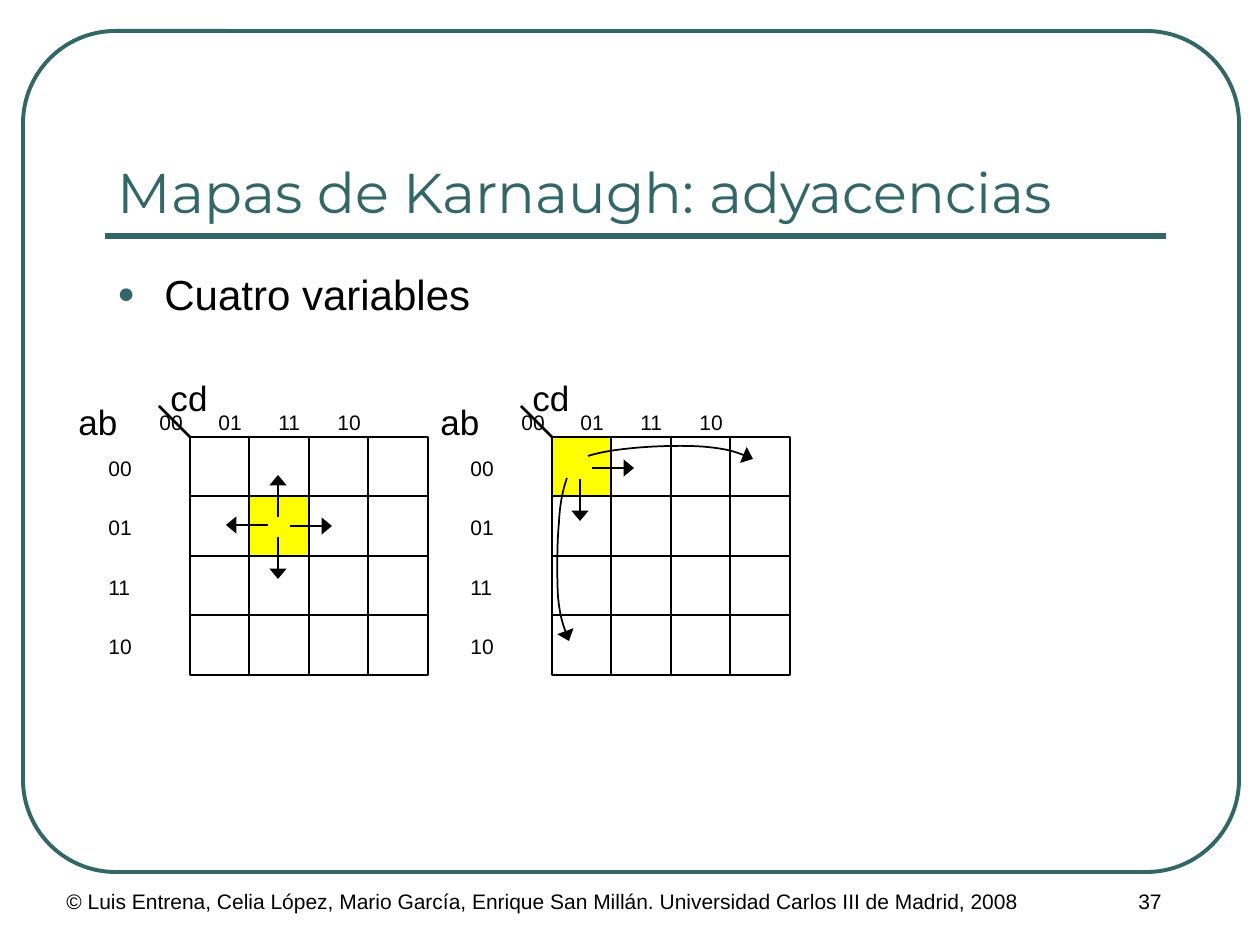
import dataclasses

import pptx
import pptx.dml.color
import pptx.enum.shapes
import pptx.enum.text
import pptx.oxml
import pptx.oxml.ns
import pptx.util

qn = pptx.oxml.ns.qn
ALIGN = pptx.enum.text.PP_ALIGN
ANCHOR = pptx.enum.text.MSO_ANCHOR
SHAPE = pptx.enum.shapes.MSO_SHAPE
PX = 914400 / 126  # EMU per px


def px(length):
    return pptx.util.Emu(round(length * PX))


def rgb(code):
    return pptx.dml.color.RGBColor.from_string(code)


def xml(tag, content="", **attributes):
    values = "".join(f' {key}="{value}"' for key, value in attributes.items())
    return pptx.oxml.parse_xml(
        f'<a:{tag} {pptx.oxml.ns.nsdecls("a")}{values}>{content}</a:{tag}>')


@dataclasses.dataclass(frozen=True)
class Theme:
    accent: str = "336666"
    ink: str = "000000"
    highlight: str = "FFFF00"
    title_font: str = "Montserrat"
    body_font: str = "Arial"
    title_size: int = 32
    body_size: int = 24
    variable_size: int = 20
    small_size: int = 12
    frame_line: float = 2.25
    rule_line: float = 3
    grid_line: float = 1.5
    arrow_line: float = 1


def write(frame, text, *, size, color, font, align=ALIGN.LEFT,
          anchor=ANCHOR.TOP, bullet_color=None):
    """Put one formatted paragraph into a text frame."""
    frame.word_wrap = True
    frame.auto_size = pptx.enum.text.MSO_AUTO_SIZE.NONE
    frame.vertical_anchor = anchor
    frame.margin_left = frame.margin_right = pptx.util.Inches(0.1)
    frame.margin_top = frame.margin_bottom = pptx.util.Inches(0.05)
    paragraph = frame.paragraphs[0]
    paragraph.alignment = align
    paragraph.space_before = pptx.util.Pt(0)
    if bullet_color:
        properties = paragraph._p.get_or_add_pPr()
        properties.set("marL", str(px(47)))
        properties.set("indent", str(px(-47)))
        properties.append(xml("buClr", f'<a:srgbClr val="{bullet_color}"/>'))
        properties.append(xml("buSzPct", val=70000))
        properties.append(xml("buFont", typeface=font))
        properties.append(xml("buChar", char="●"))
    run = paragraph.add_run()
    run.text = text
    run.font.size = pptx.util.Pt(size)
    run.font.name = font
    run.font.color.rgb = rgb(color)


class SlideBuilder:
    def __init__(self, slide, theme):
        self.slide = slide
        self.theme = theme

    def title(self, text, left, top, width, height):
        heading = self.slide.shapes.title
        heading.left, heading.top = px(left), px(top)
        heading.width, heading.height = px(width), px(height)
        write(heading.text_frame, text, size=self.theme.title_size,
              color=self.theme.accent, font=self.theme.title_font,
              anchor=ANCHOR.BOTTOM)

    def text(self, text, left, top, width, height, size, **style):
        label = self.slide.shapes.add_textbox(
            px(left), px(top), px(width), px(height))
        write(label.text_frame, text, size=size, color=self.theme.ink,
              font=self.theme.body_font, **style)

    def box(self, kind, left, top, width, height, color, weight, fill=None):
        box = self.slide.shapes.add_shape(
            kind, px(left), px(top), px(width), px(height))
        box.shadow.inherit = False
        if fill:
            box.fill.solid()
            box.fill.fore_color.rgb = rgb(fill)
        else:
            box.fill.background()
        self.stroke(box, color, weight)
        return box

    def stroke(self, shape, color, weight, arrow=False):
        shape.line.color.rgb = rgb(color)
        shape.line.width = pptx.util.Pt(weight)
        if arrow:
            outline = shape.element.spPr.find(qn("a:ln"))
            outline.append(xml("tailEnd", type="triangle", w="lg", len="med"))

    def line(self, start, end, color, weight, arrow=False):
        line = self.slide.shapes.add_connector(
            pptx.enum.shapes.MSO_CONNECTOR.STRAIGHT,
            *map(px, start), *map(px, end))
        self.stroke(line, color, weight, arrow)
        line.element.spPr.append(xml("effectLst"))

    def arrow(self, start, end):
        self.line(start, end, self.theme.ink, self.theme.arrow_line, arrow=True)

    def curved_arrow(self, start, *controls):
        """Draw cubic curves: every three control points make one segment."""
        builder = self.slide.shapes.build_freeform(*map(px, start))
        builder.add_line_segments(
            [(px(x), px(y)) for x, y in controls], close=False)
        curve = builder.convert_to_shape()
        outline = curve.element.spPr.find(".//" + qn("a:path"))
        steps = outline.findall(qn("a:lnTo"))
        for first in range(0, len(steps), 3):
            segment = xml("cubicBezTo")
            for step in steps[first:first + 3]:
                segment.append(step[0])
                outline.remove(step)
            outline.append(segment)
        curve.fill.background()
        curve.shadow.inherit = False
        self.stroke(curve, self.theme.ink, self.theme.arrow_line, arrow=True)

    def karnaugh_map(self, left, top, marked):
        theme = self.theme
        codes = ("00", "01", "11", "10")
        edges = [238 * index // 4 for index in range(5)]
        for row, y in enumerate(edges[:-1]):
            for column, x in enumerate(edges[:-1]):
                self.box(SHAPE.RECTANGLE, left + x, top + y,
                         edges[column + 1] - x, edges[row + 1] - y,
                         theme.ink, theme.grid_line,
                         theme.highlight if (row, column) == marked else None)
        # Variable names on either side of the corner stroke
        self.line((left, top), (left - 31, top - 31), theme.ink, theme.grid_line)
        self.text("ab", left - 124, top - 43, 159, 55, theme.variable_size)
        self.text("cd", left - 79, top - 67, 156, 55, theme.variable_size,
                  align=ALIGN.CENTER)
        # Gray codes of columns and rows
        for code, offset in zip(codes, edges):
            self.text(code, left - 43 + offset, top - 34, 142, 38,
                      theme.small_size)
            self.text(code, left - 94, top + 12 + offset, 142, 38,
                      theme.small_size)


def main():
    deck = pptx.Presentation()
    deck.slide_width, deck.slide_height = px(1260), px(945)
    theme = Theme()
    page = SlideBuilder(deck.slides.add_slide(deck.slide_layouts[5]), theme)

    # Frame, title and footer
    frame = page.box(SHAPE.ROUNDED_RECTANGLE, 23, 31, 1216, 841,
                     theme.accent, theme.frame_line)
    frame.adjustments[0] = 0.11
    page.line((105, 236), (1166, 236), theme.accent, theme.rule_line)
    page.text("© Luis Entrena, Celia López, Mario García, Enrique San Millán. "
              "Universidad Carlos III de Madrid, 2008",
              54, 882, 1071, 63, theme.small_size)
    page.text("37", 1040, 882, 220, 63, theme.small_size, align=ALIGN.CENTER)
    page.title("Mapas de Karnaugh: adyacencias", 105, 73, 1061, 158)
    page.text("Cuatro variables", 105, 262, 1061, 609, theme.body_size,
              bullet_color=theme.accent)

    # Inner cell: four direct neighbours
    page.karnaugh_map(190, 437, marked=(1, 1))
    page.arrow((278, 517), (278, 475))
    page.arrow((268, 525), (226, 525))
    page.arrow((290, 526), (332, 526))
    page.arrow((278, 537), (278, 579))

    # Corner cell: two direct neighbours and two across the edges
    page.karnaugh_map(552, 437, marked=(0, 0))
    page.arrow((592, 468), (634, 468))
    page.arrow((580, 479), (580, 521))
    page.curved_arrow((588, 456), (601, 452), (614, 450), (634, 448),
                      (654, 446), (688, 445), (707, 447),
                      (727, 449), (740, 453), (753, 459))
    page.curved_arrow((567, 478), (563, 490), (560, 503), (559, 523),
                      (557, 543), (557, 576), (558, 596),
                      (560, 616), (564, 628), (569, 641))

    deck.save("out.pptx")


if __name__ == "__main__":
    main()
